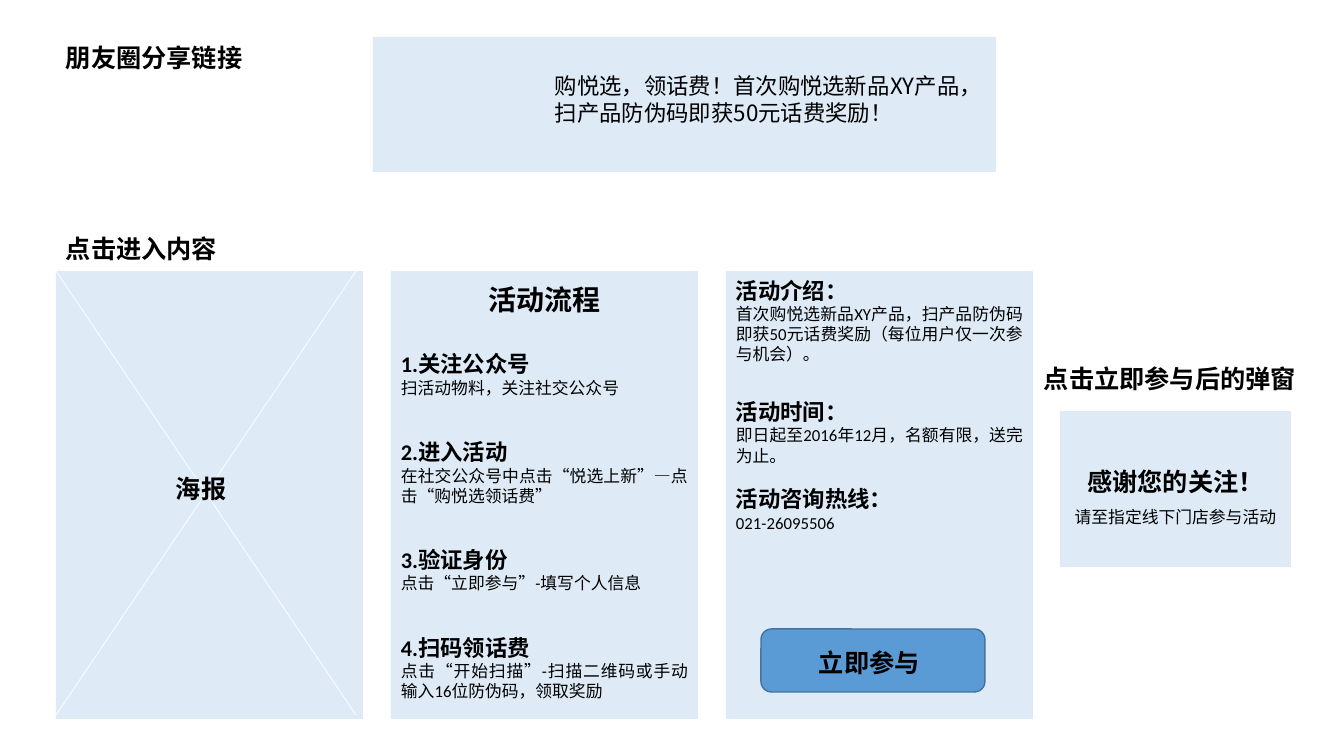
from pptx import Presentation
from pptx.dml.color import RGBColor
from pptx.enum.shapes import MSO_CONNECTOR, MSO_SHAPE
from pptx.enum.text import PP_ALIGN
from pptx.oxml.ns import qn
from pptx.util import Emu, Pt
from lxml import etree

RECT, ROUND = MSO_SHAPE.RECTANGLE, MSO_SHAPE.ROUNDED_RECTANGLE
LINE = MSO_CONNECTOR.STRAIGHT
LEFT, MID, JUST = PP_ALIGN.LEFT, PP_ALIGN.CENTER, PP_ALIGN.JUSTIFY
PX = 914400 / 100.8
HEX = {"panel": "DEEBF7", "button": "5B9BD5", "edge": "43739E",
       "cross": "FFFFFF", "ink": "000000"}
SANS, BODY = "Noto Sans CJK SC", "Calibri"

# Content: each section has the gap above it in px, a heading and its text
FLOW = [
    (34, "1.关注公众号", "扫活动物料，关注社交公众号"),
    (41, "2.进入活动", "在社交公众号中点击“悦选上新”—点击“购悦选领话费”"),
    (40, "3.验证身份", "点击“立即参与”-填写个人信息"),
    (41, "4.扫码领话费", "点击“开始扫描”-扫描二维码或手动输入16位防伪码，领取奖励"),
]
INTRO = [
    (0, "活动介绍：", "首次购悦选新品XY产品，扫产品防伪码即获50元话费奖励（每位用户仅一次参与机会）。"),
    (34, "活动时间：", "即日起至2016年12月，名额有限，送完为止。"),
    (20, "活动咨询热线：", "021-26095506"),
]
SHARE = "购悦选，领话费！首次购悦选新品XY产品，扫产品防伪码即获50元话费奖励！"
# Headings: text, left, top, width, height, font
HEADS = [
    ("朋友圈分享链接", 56, 37, 418, 40, SANS),
    ("点击进入内容", 56, 228, 318, 40, SANS),
    ("海报", 166, 468, 100, 49, BODY),
    ("立即参与", 809, 642, 141, 40, SANS),
    ("点击立即参与后的弹窗", 1034, 358, 283, 40, SANS),
]
# Layout of the three columns
COL, TOP, STEP, WIDE, TALL = 56, 271, 335, 307, 448
COLS = [COL + STEP * i for i in range(3)]
PANELS = [(373, 37, 623, 135), (1060, 411, 231, 156)]
PANELS += [(x, TOP, WIDE, TALL) for x in COLS]

deck = Presentation()
deck.slide_width, deck.slide_height = Emu(12192000), Emu(6858000)
slide = deck.slides.add_slide(deck.slide_layouts[6])
shapes = slide.shapes


def px(*vals):
    return [Emu(round(v * PX)) for v in vals]


def color(name):
    return RGBColor.from_string(HEX[name])


def block(kind, box, fill, edge=None):
    shape = shapes.add_shape(kind, *px(*box))
    shape.shadow.inherit = False
    shape.fill.solid()
    shape.fill.fore_color.rgb = color(fill)
    if edge:
        shape.line.color.rgb = color(edge)
        shape.line.width = Pt(1)
    else:
        shape.line.fill.background()


def cross(x1, y1, x2, y2):
    line = shapes.add_connector(LINE, *px(x1, y1, x2, y2))
    line.line.color.rgb = color("cross")
    line.line.width = Pt(0.5)
    etree.SubElement(line._element.spPr, qn("a:effectLst"))


def row(text, size, bold=True, face=SANS, align=LEFT, gap=0, pitch=None):
    look = {"size": Pt(size), "bold": bold, "name": face}
    flow = {"alignment": align, "space_before": px(gap)[0],
            "line_spacing": pitch}
    return text, look, flow


def write(box, rows):
    frame = shapes.add_textbox(*px(*box)).text_frame
    frame.word_wrap = True
    for i, (text, look, flow) in enumerate(rows):
        para = frame.add_paragraph() if i else frame.paragraphs[0]
        run = para.add_run()
        run.text = text
        run.font.color.rgb = color("ink")
        for key, val in look.items():
            setattr(run.font, key, val)
        for key, val in flow.items():
            setattr(para, key, val)


def steps(items):
    rows = []
    for gap, head, text in items:
        rows.append(row(head, 16, True, BODY, JUST, gap))
        rows.append(row(text, 12, False, BODY, JUST))
    return rows


# Panels, poster cross and button
for box in PANELS:
    block(RECT, box, "panel")
far, low = COL + 300, TOP + 444
cross(COL, TOP, far, low)
cross(far, TOP, COL, low)
block(ROUND, (761, 629, 224, 63), "button", "edge")

# Headings and share text
for text, *box, face in HEADS:
    write(box, [row(text, 18, face=face)])
write((545, 67, 440, 65), [row(SHARE, 16, False)])

# Flow and introduction columns
title = row("活动流程", 20, True, BODY, MID)
write((COLS[1], 278, WIDE, 430), [title] + steps(FLOW))
write((COLS[2], 272, WIDE, 288), steps(INTRO))

# Popup
write((1060, 446, 231, 87), [
    row("感谢您的关注！", 18, align=MID, pitch=1.5),
    row("请至指定线下门店参与活动", 12, False, align=MID, pitch=1.5),
])

deck.save("out.pptx")
